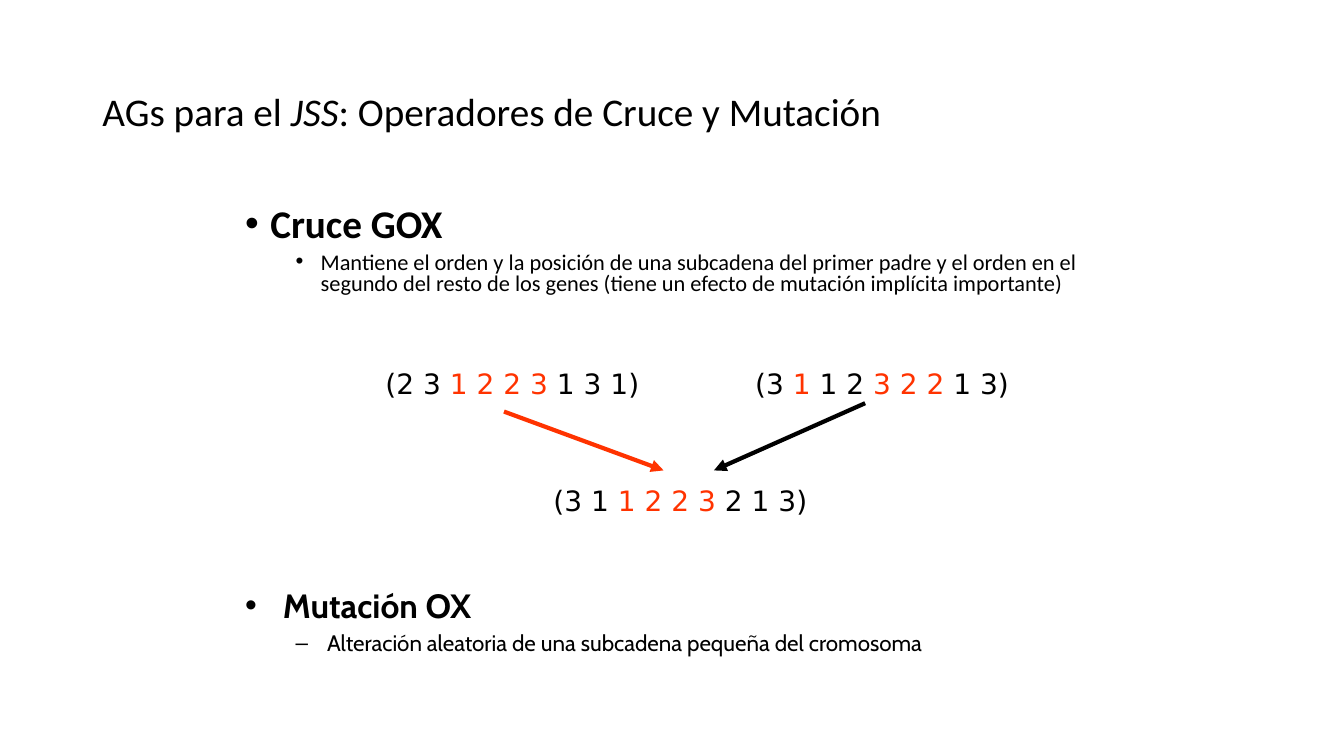
from lxml.etree import SubElement
from pptx import Presentation
from pptx.dml.color import RGBColor
from pptx.enum.shapes import MSO_CONNECTOR as Connector
from pptx.enum.text import MSO_ANCHOR as Anchor, PP_ALIGN as Align
from pptx.oxml.ns import qn
from pptx.util import Pt

BLACK = RGBColor(0x00, 0x00, 0x00)
RED = RGBColor(0xFF, 0x33, 0x00)
TITLE_ONLY = 5


def set_font(font, name, size, bold=False):
    font.name = name
    font.size = Pt(size)
    font.bold = bold
    font.color.rgb = BLACK


def add_runs(paragraph, marked_text):
    """Split the text at each | and return the runs that stand between a pair."""
    runs = []
    for part in marked_text.split("|"):
        run = paragraph.add_run()
        run.text = part
        runs.append(run)
    return runs[1::2]


def set_title(slide, marked_text):
    title = slide.shapes.title
    title.left, title.top, title.width, title.height = Pt(66), Pt(29), Pt(828), Pt(104)
    title.text_frame.vertical_anchor = Anchor.MIDDLE
    paragraph = title.text_frame.paragraphs[0]
    paragraph.alignment = Align.LEFT
    paragraph.line_spacing = 0.9
    set_font(paragraph.font, "Calibri", 28)
    for run in add_runs(paragraph, marked_text):
        run.font.italic = True


def set_bullet(paragraph, character, margin, hanging):
    properties = paragraph._p.get_or_add_pPr()
    properties.set("marL", str(Pt(margin)))
    properties.set("indent", str(-Pt(hanging)))
    SubElement(properties, qn("a:buFont")).set("typeface", "Arial")
    SubElement(properties, qn("a:buChar")).set("char", character)


def add_operator(slide, top, height, font_name, line_spacing, items):
    """Add a bold heading and its detail; items are (text, size, space, bullet, margin, hanging)."""
    box = slide.shapes.add_textbox(Pt(168), Pt(top), Pt(635), Pt(height))
    frame = box.text_frame
    frame.word_wrap = True
    for level, (text, size, space, bullet, margin, hanging) in enumerate(items):
        paragraph = frame.add_paragraph() if level else frame.paragraphs[0]
        paragraph.text = text
        paragraph.level = level
        set_bullet(paragraph, bullet, margin, hanging)
        paragraph.line_spacing = line_spacing
        paragraph.space_before = Pt(space)
        set_font(paragraph.font, font_name, size, bold=level == 0)


def add_chromosome(slide, left, top, marked_genes):
    box = slide.shapes.add_textbox(Pt(left), Pt(top), Pt(204), Pt(31))
    box.text_frame.word_wrap = False
    paragraph = box.text_frame.paragraphs[0]
    paragraph.alignment = Align.CENTER
    set_font(paragraph.font, "DejaVu Sans", 20)
    for run in add_runs(paragraph, marked_genes):
        run.font.color.rgb = RED


def add_arrow(slide, start, end, color):
    points = [Pt(value) for value in (*start, *end)]
    arrow = slide.shapes.add_connector(Connector.STRAIGHT, *points)
    arrow.line.color.rgb = color
    arrow.line.width = Pt(3)
    SubElement(arrow.line._get_or_add_ln(), qn("a:tailEnd")).set("type", "triangle")
    SubElement(arrow._element.spPr, qn("a:effectLst"))


def main():
    presentation = Presentation()
    presentation.slide_width, presentation.slide_height = Pt(960), Pt(540)
    slide = presentation.slides.add_slide(presentation.slide_layouts[TITLE_ONLY])

    set_title(slide, "AGs para el |JSS|: Operadores de Cruce y Mutación")
    add_operator(slide, 145.5, 88.5, "Calibri", 0.8, [
        ("Cruce GOX", 28, 10, "•", 18, 18),
        ("Mantiene el orden y la posición de una subcadena del primer padre y el orden "
         "en el segundo del resto de los genes (tiene un efecto de mutación implícita "
         "importante)", 16, 5, "•", 54, 18),
    ])
    add_operator(slide, 414, 47, "Cabin", 1.0, [
        ("Mutación OX", 24, 4.8, "•", 27, 27),
        ("Alteración aleatoria de una subcadena pequeña del cromosoma",
         16, 3.2, "–", 58.5, 22.5),
    ])

    add_chromosome(slide, 264, 258, "(2 3 |1 2 2 3| 1 3 1)")
    add_chromosome(slide, 528, 258, "(3 |1| 1 2 |3 2 2| 1 3)")
    add_chromosome(slide, 384, 342, "(3 1 |1 2 2 3| 2 1 3)")
    add_arrow(slide, (360, 294), (474, 336), RED)
    add_arrow(slide, (618, 288), (510, 336), BLACK)

    presentation.save("out.pptx")


if __name__ == "__main__":
    main()
